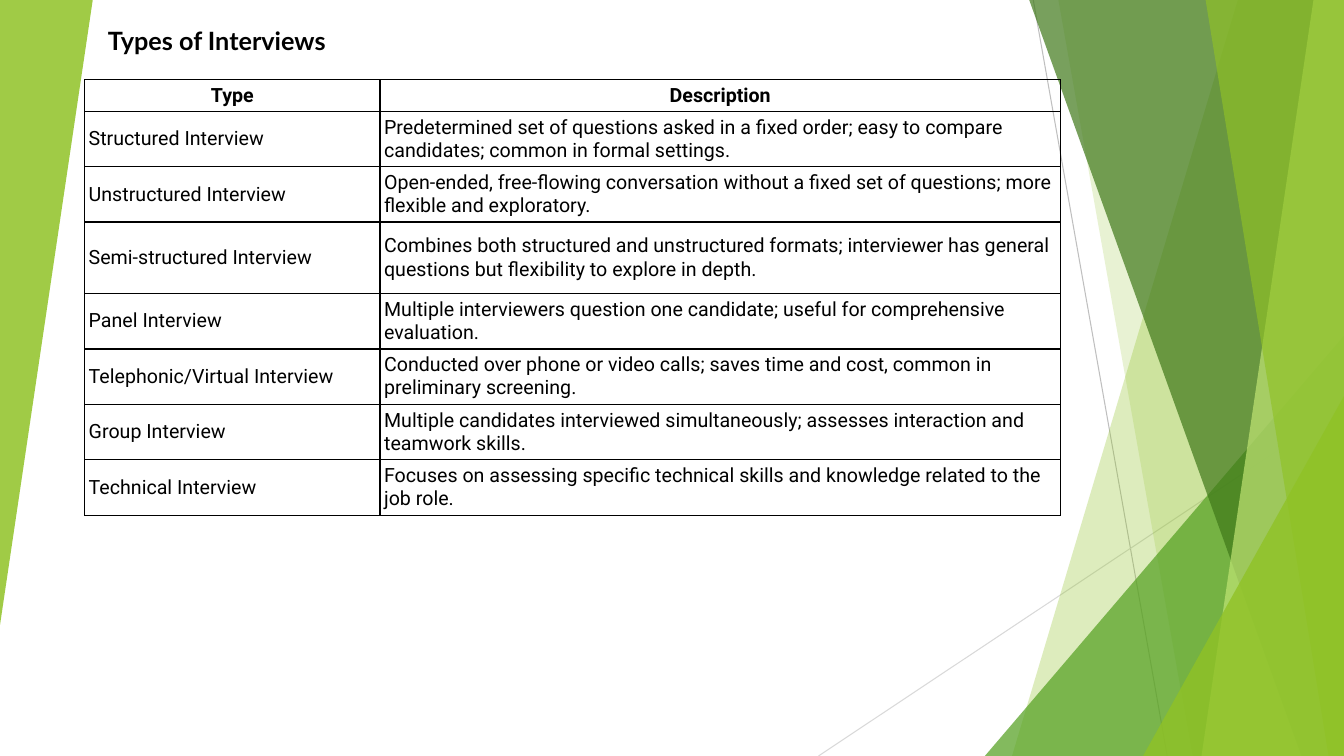
from dataclasses import dataclass

from lxml.etree import SubElement
from pptx import Presentation
from pptx.dml.color import RGBColor
from pptx.enum.shapes import MSO_CONNECTOR as Connector, MSO_SHAPE as Preset
from pptx.enum.text import MSO_ANCHOR as Anchor, MSO_AUTO_SIZE as AutoSize, PP_ALIGN as Align
from pptx.oxml import parse_xml
from pptx.oxml.ns import nsdecls, qn
from pptx.util import Inches, Pt


@dataclass(frozen=True)
class Theme:
    black: str = "000000"
    lime: str = "90C226"
    leaf: str = "54A021"
    forest: str = "3F7819"
    pale: str = "C0E474"
    grey: str = "BFBFBF"
    light_grey: str = "D9D9D9"
    title_font: str = "Lato"
    body_font: str = "Roboto"
    title_size: int = 18
    body_size: int = 14
    hairline: float = 0.75
    border: float = 1
    cell_inset: float = 0.04


def write_text(frame, text, *, font, size, color, bold=False, align=Align.LEFT):
    paragraph = frame.paragraphs[0]
    paragraph.alignment = align
    run = paragraph.add_run()
    run.text = text
    run.font.name = font
    run.font.size = Pt(size)
    run.font.bold = bold
    run.font.color.rgb = RGBColor.from_string(color)


class SlideBuilder:
    def __init__(self, presentation, theme):
        self.theme = theme
        self.width = presentation.slide_width
        self.height = presentation.slide_height
        self.slide = presentation.slides.add_slide(presentation.slide_layouts[5])
        self.shapes = self.slide.shapes

    def x(self, percent):
        return round(self.width * percent / 100)

    def y(self, percent):
        return round(self.height * percent / 100)

    def box(self, left, top, width, height):
        return self.x(left), self.y(top), self.x(width), self.y(height)

    def line(self, start, end, color):
        connector = self.shapes.add_connector(
            Connector.STRAIGHT, self.x(start[0]), self.y(start[1]), self.x(end[0]), self.y(end[1]))
        connector.line.color.rgb = RGBColor.from_string(color)
        connector.line.width = Pt(self.theme.hairline)
        SubElement(connector._element.spPr, qn("a:effectLst"))

    def paint(self, shape, color, opacity):
        shape.shadow.inherit = False
        shape.line.fill.background()
        shape.fill.solid()
        shape.fill.fore_color.rgb = RGBColor.from_string(color)
        color_element = shape._element.spPr.find(qn("a:solidFill"))[0]
        SubElement(color_element, qn("a:alpha"), val=str(opacity * 1000))

    def panel(self, top_left, bottom_left, color, opacity):
        outline = self.shapes.build_freeform(self.x(top_left), 0)
        corners = [(100, 0), (100, 100), (bottom_left, 100)]
        outline.add_line_segments([(self.x(x), self.y(y)) for x, y in corners], close=True)
        self.paint(outline.convert_to_shape(), color, opacity)

    def triangle(self, left, top, width, height, color, opacity, rotation=0):
        shape = self.shapes.add_shape(Preset.ISOSCELES_TRIANGLE, *self.box(left, top, width, height))
        shape.adjustments[0] = 1
        shape.rotation = rotation
        self.paint(shape, color, opacity)

    def title(self, text, *place):
        title = self.shapes.title
        title.left, title.top, title.width, title.height = self.box(*place)
        self.shapes._spTree.append(title._element)
        frame = title.text_frame
        frame.word_wrap = True
        frame.auto_size = AutoSize.SHAPE_TO_FIT_TEXT
        frame.vertical_anchor = Anchor.TOP
        write_text(frame, text, font=self.theme.title_font, size=self.theme.title_size,
                   color=self.theme.black, bold=True)

    def table(self, rows, left, top, widths, heights):
        place = self.box(left, top, sum(widths), sum(heights))
        table = self.shapes.add_table(len(rows), len(widths), *place).table
        table.first_row = table.horz_banding = False
        for column, width in zip(table.columns, widths):
            column.width = self.x(width)
        for index, (texts, height) in enumerate(zip(rows, heights)):
            table.rows[index].height = self.y(height)
            for cell, text in zip(table.rows[index].cells, texts):
                self.cell(cell, text, is_header=index == 0)

    def cell(self, cell, text, is_header):
        theme = self.theme
        inset = Inches(theme.cell_inset)
        cell.margin_left = cell.margin_right = cell.margin_top = cell.margin_bottom = inset
        cell.vertical_anchor = Anchor.MIDDLE
        cell.fill.background()
        properties = cell._tc.get_or_add_tcPr()
        for position, side in enumerate("LRTB"):
            properties.insert(position, parse_xml(
                f'<a:ln{side} {nsdecls("a")} w="{Pt(theme.border)}"><a:solidFill>'
                f'<a:srgbClr val="{theme.black}"/></a:solidFill></a:ln{side}>'))
        write_text(cell.text_frame, text, font=theme.body_font, size=theme.body_size,
                   color=theme.black, bold=is_header,
                   align=Align.CENTER if is_header else Align.LEFT)


INTERVIEWS = [
    ("Type", "Description"),
    ("Structured Interview",
     "Predetermined set of questions asked in a fixed order; easy to compare candidates; "
     "common in formal settings."),
    ("Unstructured Interview",
     "Open-ended, free-flowing conversation without a fixed set of questions; "
     "more flexible and exploratory."),
    ("Semi-structured Interview",
     "Combines both structured and unstructured formats; interviewer has general questions "
     "but flexibility to explore in depth."),
    ("Panel Interview",
     "Multiple interviewers question one candidate; useful for comprehensive evaluation."),
    ("Telephonic/Virtual Interview",
     "Conducted over phone or video calls; saves time and cost, common in preliminary screening."),
    ("Group Interview",
     "Multiple candidates interviewed simultaneously; assesses interaction and teamwork skills."),
    ("Technical Interview",
     "Focuses on assessing specific technical skills and knowledge related to the job role."),
]


def main():
    presentation = Presentation()
    presentation.slide_width = Inches(13.33)
    presentation.slide_height = Inches(7.5)
    theme = Theme()
    builder = SlideBuilder(presentation, theme)

    builder.line((76.88, 0), (86.85, 100), theme.grey)
    builder.line((100, 53.73), (60.9, 100), theme.light_grey)
    builder.panel(92.1, 75.3, theme.lime, 30)
    builder.panel(78.75, 88.73, theme.lime, 20)
    builder.triangle(73.28, 44.4, 26.72, 55.6, theme.leaf, 72)
    builder.panel(76.58, 96.83, theme.forest, 70)
    builder.panel(97.73, 89.4, theme.pale, 70)
    builder.panel(89.7, 98.85, theme.lime, 65)
    builder.triangle(85.05, 52.4, 14.95, 47.6, theme.lime, 80)
    builder.triangle(0, 0, 6.9, 82.67, theme.lime, 85, rotation=180)

    builder.title("Types of Interviews", 7.28, 2.67, 68.63, 5.33)
    row_heights = [4.13] + [7.33] * 2 + [9.47] + [7.33] * 4
    builder.table(INTERVIEWS, 6.3, 10.53, [21.98, 50.63], row_heights)
    presentation.save("out.pptx")


if __name__ == "__main__":
    main()
